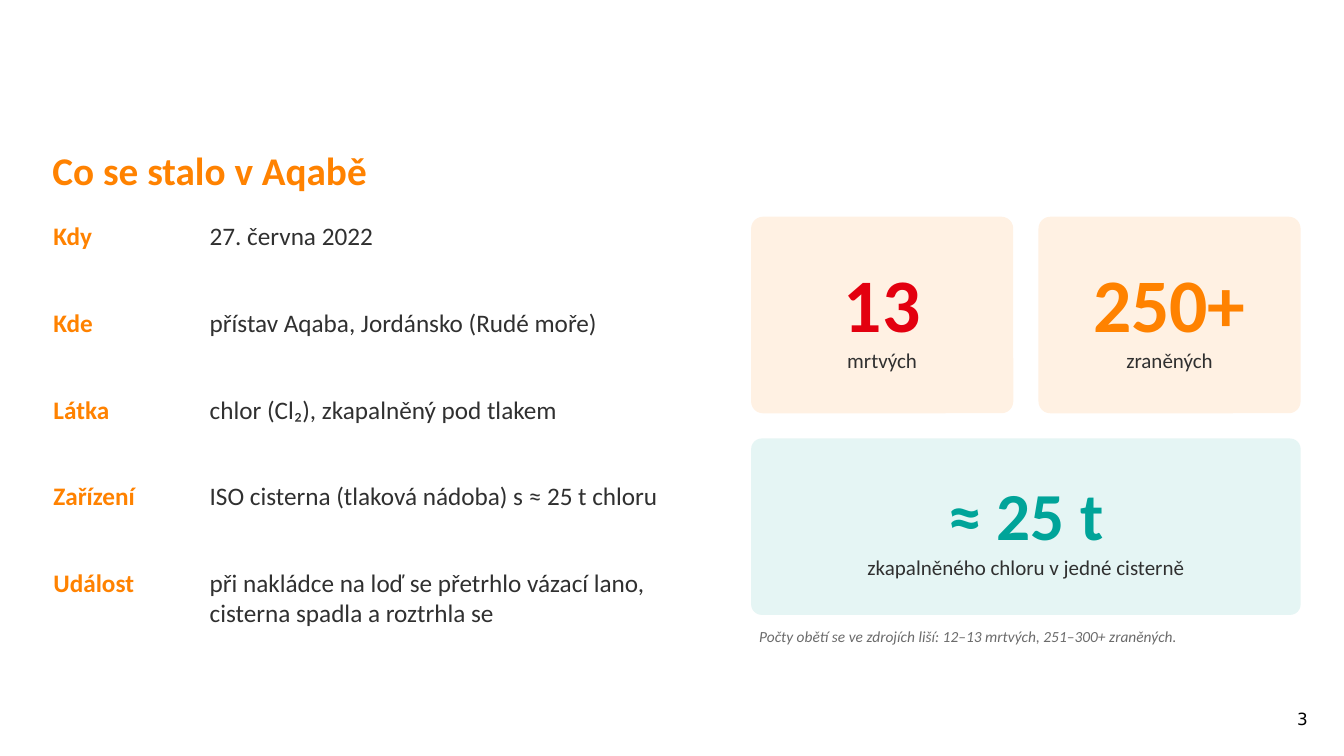
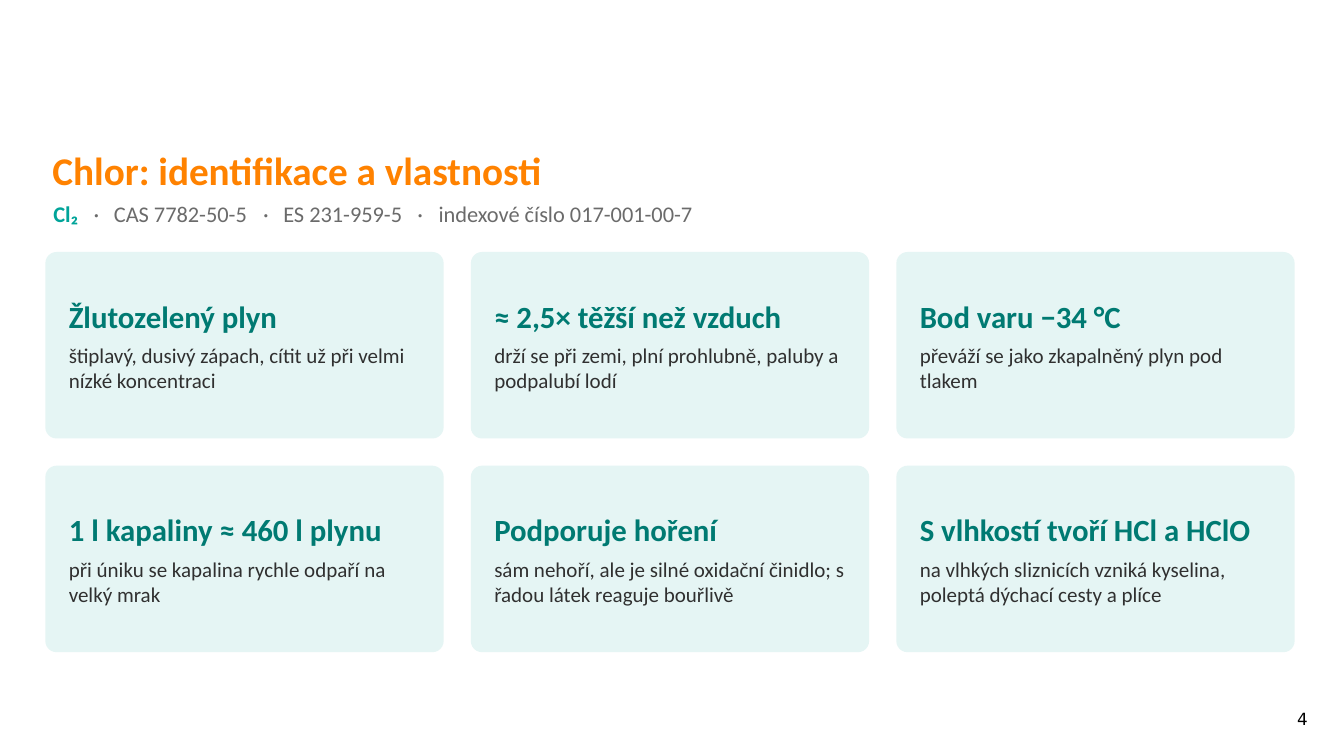
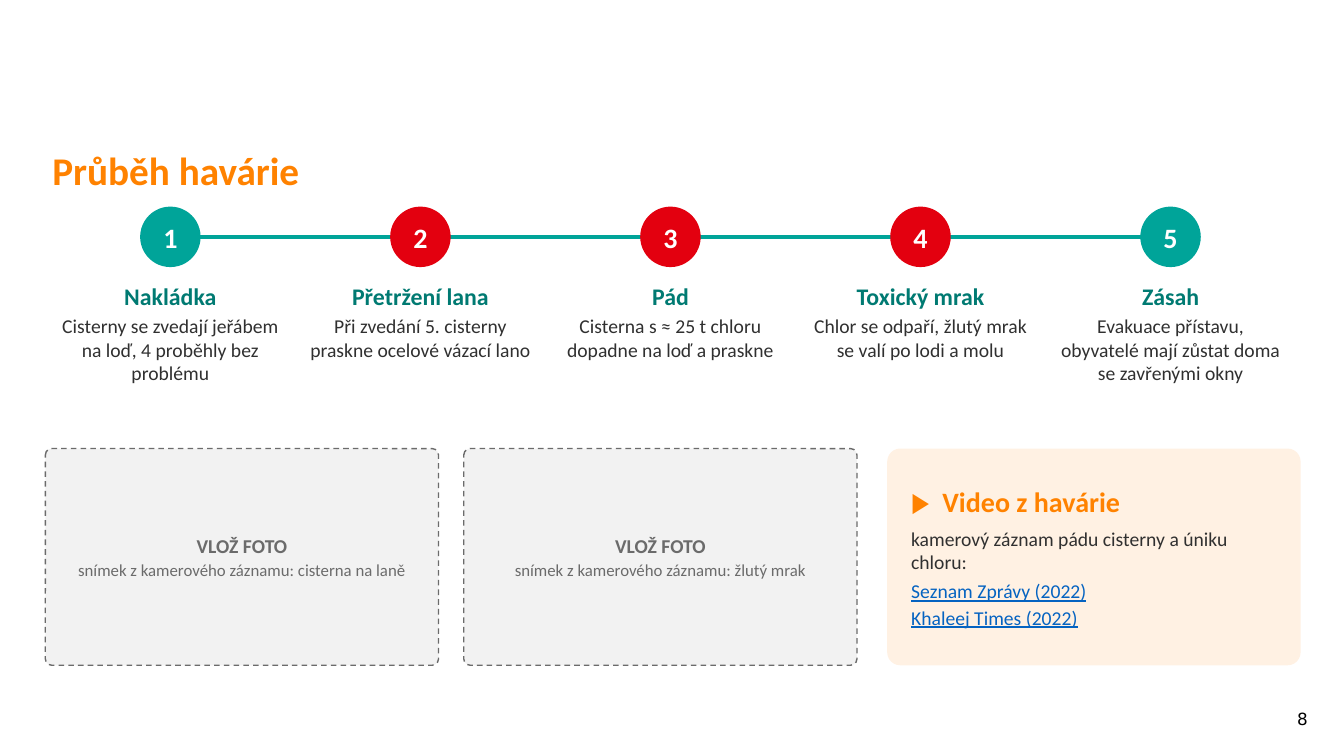
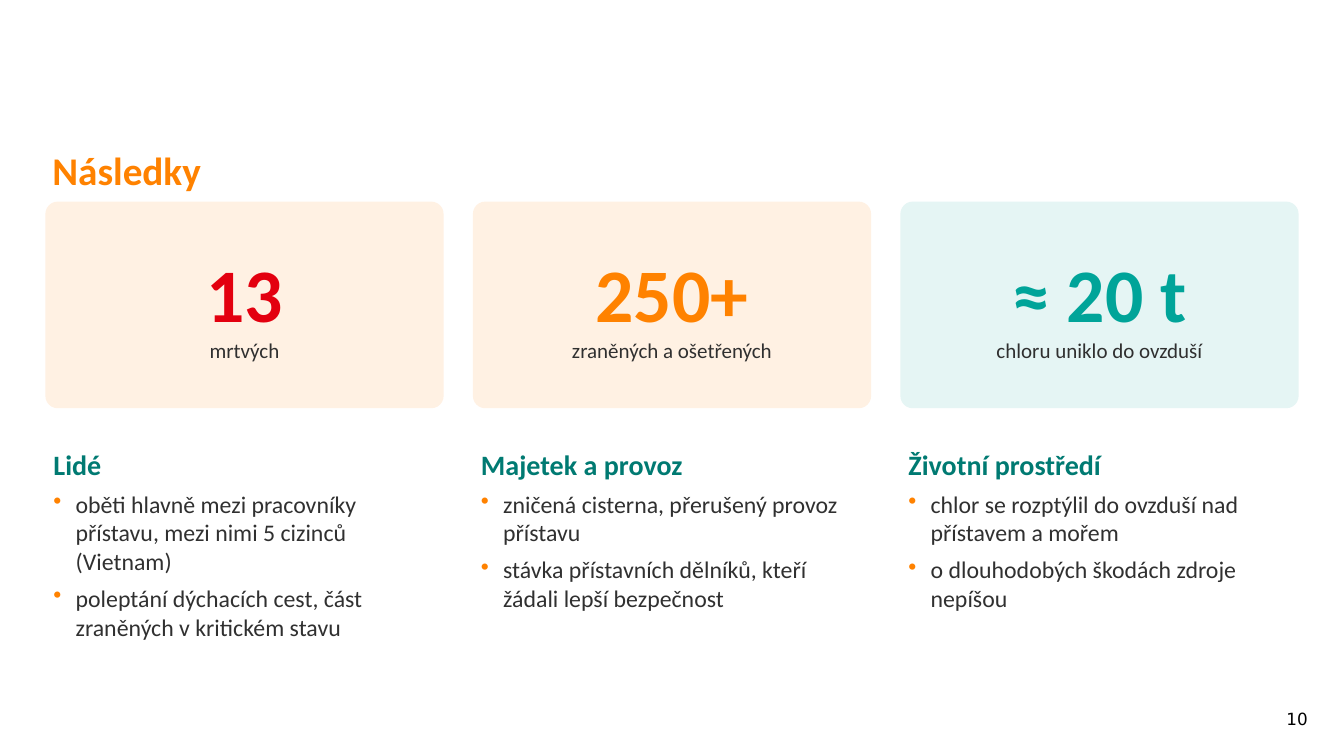
"""Build four slides on the chlorine accident in Aqaba."""
import lxml.etree
import pptx
import pptx.dml.color
import pptx.enum.dml
import pptx.enum.shapes
import pptx.enum.text
import pptx.oxml.ns
import pptx.util

Inches, Pt = pptx.util.Inches, pptx.util.Pt
SHAPE = pptx.enum.shapes.MSO_SHAPE
ANCHOR = pptx.enum.text.MSO_ANCHOR
ALIGN = pptx.enum.text.PP_ALIGN
AUTO = pptx.enum.text.MSO_AUTO_SIZE

ORANGE, RED, TEAL, DARK_TEAL = "FF8200", "E3000F", "00A499", "007A72"
INK, GREY, LINK, WHITE = "303030", "6B6B6B", "0563C1", "FFFFFF"
PEACH, MINT, PALE = "FFF1E3", "E5F5F4", "F2F2F2"
LEFT, CARD_W = 0.45, 3.95

FACTS = [
    ("Kdy", "27. června 2022"),
    ("Kde", "přístav Aqaba, Jordánsko (Rudé moře)"),
    ("Látka", "chlor (Cl₂), zkapalněný pod tlakem"),
    ("Zařízení", "ISO cisterna (tlaková nádoba) s ≈ 25 t chloru"),
    ("Událost", "při nakládce na loď se přetrhlo vázací lano, cisterna spadla a roztrhla se"),
]
FACT_STATS = [
    ((7.45, 2.15, 2.6, 1.95), PEACH, "13", 54, RED, "mrtvých"),
    ((10.3, 2.15, 2.6, 1.95), PEACH, "250+", 54, ORANGE, "zraněných"),
    ((7.45, 4.35, 5.45, 1.75), MINT, "≈ 25 t", 48, TEAL, "zkapalněného chloru v jedné cisterně"),
]
SOURCES_NOTE = "Počty obětí se ve zdrojích liší: 12–13 mrtvých, 251–300+ zraněných."

IDENTIFIERS = ["Cl₂", "CAS 7782-50-5", "ES 231-959-5", "indexové číslo 017-001-00-7"]
IDENTIFIER_TABS = [0.4, 0.6, 2.08, 2.28, 3.61, 3.82]
PROPERTIES = [
    ("Žlutozelený plyn", "štiplavý, dusivý zápach, cítit už při velmi nízké koncentraci"),
    ("≈ 2,5× těžší než vzduch", "drží se při zemi, plní prohlubně, paluby a podpalubí lodí"),
    ("Bod varu −34 °C", "převáží se jako zkapalněný plyn pod tlakem"),
    ("1 l kapaliny ≈ 460 l plynu", "při úniku se kapalina rychle odpaří na velký mrak"),
    ("Podporuje hoření", "sám nehoří, ale je silné oxidační činidlo; s řadou látek reaguje bouřlivě"),
    ("S vlhkostí tvoří HCl a HClO", "na vlhkých sliznicích vzniká kyselina, poleptá dýchací cesty a plíce"),
]

STEPS = [
    (TEAL, "Nakládka", "Cisterny se zvedají jeřábem na loď, 4 proběhly bez problému"),
    (RED, "Přetržení lana", "Při zvedání 5. cisterny praskne ocelové vázací lano"),
    (RED, "Pád", "Cisterna s ≈ 25 t chloru dopadne na loď a praskne"),
    (RED, "Toxický mrak", "Chlor se odpaří, žlutý mrak se valí po lodi a molu"),
    (TEAL, "Zásah", "Evakuace přístavu, obyvatelé mají zůstat doma se zavřenými okny"),
]
PHOTOS = [
    "snímek z kamerového záznamu: cisterna na laně",
    "snímek z kamerového záznamu: žlutý mrak",
]
VIDEO_TITLE = "▶\tVideo z havárie"
VIDEO_TEXT = "kamerový záznam pádu cisterny a úniku chloru:"
VIDEO_SOURCES = ["Seznam Zprávy (2022)", "Khaleej Times (2022)"]

IMPACTS = [
    (PEACH, "13", RED, "mrtvých", "Lidé",
     ["oběti hlavně mezi pracovníky přístavu, mezi nimi 5 cizinců (Vietnam)",
      "poleptání dýchacích cest, část zraněných v kritickém stavu"]),
    (PEACH, "250+", ORANGE, "zraněných a ošetřených", "Majetek a provoz",
     ["zničená cisterna, přerušený provoz přístavu",
      "stávka přístavních dělníků, kteří žádali lepší bezpečnost"]),
    (MINT, "≈ 20 t", TEAL, "chloru uniklo do ovzduší", "Životní prostředí",
     ["chlor se rozptýlil do ovzduší nad přístavem a mořem",
      "o dlouhodobých škodách zdroje nepíšou"]),
]


def rgb(code):
    return pptx.dml.color.RGBColor.from_string(code)


def inches(values):
    return [Inches(v) for v in values]


def sub(parent, tag, **attrs):
    return lxml.etree.SubElement(parent, pptx.oxml.ns.qn(tag), attrs)


def set_font(font, size, color, bold=False, name="Calibri"):
    font.name, font.size, font.bold = name, Pt(size), bold
    font.color.rgb = rgb(color)


def add_bullet(p):
    ppr = p._p.get_or_add_pPr()
    ppr.set("marL", str(Inches(0.22)))
    ppr.set("indent", str(Inches(-0.22)))
    sub(sub(ppr, "a:buClr"), "a:srgbClr", val=ORANGE)
    sub(ppr, "a:buChar", char="•")


def add_tabs(p, stops):
    tabs = sub(p._p.get_or_add_pPr(), "a:tabLst")
    for stop in stops:
        sub(tabs, "a:tab", pos=str(Inches(stop)), algn="l")


def para(text, size, color, bold=False, after=0, **more):
    return dict(text=text, size=size, color=color, bold=bold, after=after, **more)


def write(sp, paras, align=ALIGN.LEFT, side=0.08):
    tf = sp.text_frame
    tf.word_wrap = True
    tf.margin_left = tf.margin_right = Inches(side)
    tf.margin_top = tf.margin_bottom = Inches(0.04)
    for i, item in enumerate(paras):
        p = tf.add_paragraph() if i else tf.paragraphs[0]
        p.add_run().text = item["text"]
        if item.get("bullet"):
            add_bullet(p)
        if "tabs" in item:
            add_tabs(p, item["tabs"])
        p.alignment, p.space_after = align, Pt(item["after"])
        set_font(p.font, item["size"], item["color"], item["bold"])
        if item.get("italic"):
            p.font.italic = True
        if item.get("underline"):
            p.font.underline = True


def add_text(slide, box, paras, align=ALIGN.LEFT):
    sp = slide.shapes.add_textbox(*inches(box))
    write(sp, paras, align)
    sp.text_frame.auto_size = AUTO.SHAPE_TO_FIT_TEXT
    return sp


def add_panel(slide, box, fill, paras, align=ALIGN.CENTER, side=0.08,
              kind=SHAPE.ROUNDED_RECTANGLE, corner=0.06):
    sp = slide.shapes.add_shape(kind, *inches(box))
    sp.shadow.inherit = False
    if kind == SHAPE.ROUNDED_RECTANGLE:
        sp.adjustments[0] = corner
    sp.fill.solid()
    sp.fill.fore_color.rgb = rgb(fill)
    sp.line.fill.background()
    sp.text_frame.vertical_anchor = ANCHOR.MIDDLE
    write(sp, paras, align, side)
    return sp


def add_stat(slide, box, fill, value, size, color, label):
    add_panel(slide, box, fill, [para(value, size, color, True), para(label, 15, INK)])


def new_slide(prs, title, number):
    slide = prs.slides.add_slide(prs.slide_layouts[5])
    sp = slide.shapes.title
    sp.left, sp.top, sp.width, sp.height = inches((0.42, 1.32, 12.47, 0.65))
    tf = sp.text_frame
    tf.text = title
    tf.vertical_anchor, tf.auto_size = ANCHOR.BOTTOM, AUTO.NONE
    p = tf.paragraphs[0]
    p.alignment, p.line_spacing = ALIGN.LEFT, 0.9
    set_font(p.font, 28, ORANGE, True)
    tf = slide.shapes.add_textbox(*inches((10.9, 6.98, 2.17, 0.52))).text_frame
    tf.word_wrap = True
    tf.text = str(number)
    p = tf.paragraphs[0]
    p.alignment = ALIGN.RIGHT
    set_font(p.font, 12, "000000", name="DejaVu Sans")
    return slide


def build_facts(prs):
    slide = new_slide(prs, "Co se stalo v Aqabě", 3)
    for i, (label, text) in enumerate(FACTS):
        top = 2.15 + 0.86 * i
        add_text(slide, (LEFT, top, 1.55, 0.7), [para(label, 18, ORANGE, True, 4)])
        add_text(slide, (2, top, 4.9, 0.8), [para(text, 18, INK, after=4)])
    for stat in FACT_STATS:
        add_stat(slide, *stat)
    add_text(slide, (7.45, 6.18, 5.45, 0.35),
             [para(SOURCES_NOTE, 11, GREY, after=4, italic=True)])


def build_properties(prs):
    slide = new_slide(prs, "Chlor: identifikace a vlastnosti", 4)
    formula, *codes = IDENTIFIERS
    sp = add_text(slide, (LEFT, 1.95, 12.4, 0.4),
                  [para(formula, 16, TEAL, True, 4, tabs=IDENTIFIER_TABS)])
    r = sp.text_frame.paragraphs[0].add_run()
    r.text = "".join("\t·\t" + code for code in codes)
    set_font(r.font, 16, GREY)
    for i, (head, text) in enumerate(PROPERTIES):
        row, col = divmod(i, 3)
        box = (LEFT + 4.22 * col, 2.5 + 2.12 * row, CARD_W, 1.85)
        add_panel(slide, box, MINT,
                  [para(head, 22, DARK_TEAL, True, 6), para(text, 15, INK)],
                  ALIGN.LEFT, 0.2)


def build_timeline(prs):
    slide = new_slide(prs, "Průběh havárie", 8)
    centers = [1.69 + 2.48 * i for i in range(len(STEPS))]
    axis, dot, step_w = 2.35, 0.6, 2.38
    line = slide.shapes.add_connector(
        pptx.enum.shapes.MSO_CONNECTOR.STRAIGHT,
        *inches((centers[0], axis, centers[-1], axis)))
    line.line.color.rgb, line.line.width = rgb(TEAL), Pt(3)
    sub(line._element.spPr, "a:effectLst")
    for i, (x, (color, head, text)) in enumerate(zip(centers, STEPS), 1):
        add_panel(slide, (x - dot / 2, axis - dot / 2, dot, dot), color,
                  [para(str(i), 20, WHITE, True)], side=0, kind=SHAPE.OVAL)
        add_text(slide, (x - step_w / 2, 2.75, step_w, 1.5),
                 [para(head, 17, DARK_TEAL, True, 3), para(text, 14, INK, after=4)],
                 ALIGN.CENTER)
    for i, caption in enumerate(PHOTOS):
        sp = add_panel(slide, (LEFT + 4.15 * i, 4.45, 3.9, 2.15), PALE,
                       [para("VLOŽ FOTO", 14, GREY, True, 2), para(caption, 12, GREY)],
                       corner=0.03)
        sp.line.color.rgb, sp.line.width = rgb(GREY), Pt(1)
        sp.line.dash_style = pptx.enum.dml.MSO_LINE_DASH_STYLE.DASH
    video = [para(VIDEO_TITLE, 20, ORANGE, True, 6, tabs=[0.31]),
             para(VIDEO_TEXT, 14, INK, after=4)]
    video += [para(text, 14, LINK, after=after, underline=True)
              for text, after in zip(VIDEO_SOURCES, (2, 0))]
    add_panel(slide, (8.8, 4.45, 4.1, 2.15), PEACH, video, ALIGN.LEFT, 0.2)


def build_impacts(prs):
    slide = new_slide(prs, "Následky", 10)
    for i, (fill, value, color, label, head, points) in enumerate(IMPACTS):
        left = LEFT + 4.24 * i
        add_stat(slide, (left, 2, CARD_W, 2.05), fill, value, 54, color, label)
        add_text(slide, (left, 4.4, CARD_W, 2.2),
                 [para(head, 20, DARK_TEAL, True, 6)]
                 + [para(text, 17, INK, after=6, bullet=True) for text in points])


def main():
    prs = pptx.Presentation()
    prs.slide_width, prs.slide_height = inches((13.33, 7.5))
    for build in (build_facts, build_properties, build_timeline, build_impacts):
        build(prs)
    prs.save("out.pptx")


if __name__ == "__main__":
    main()
